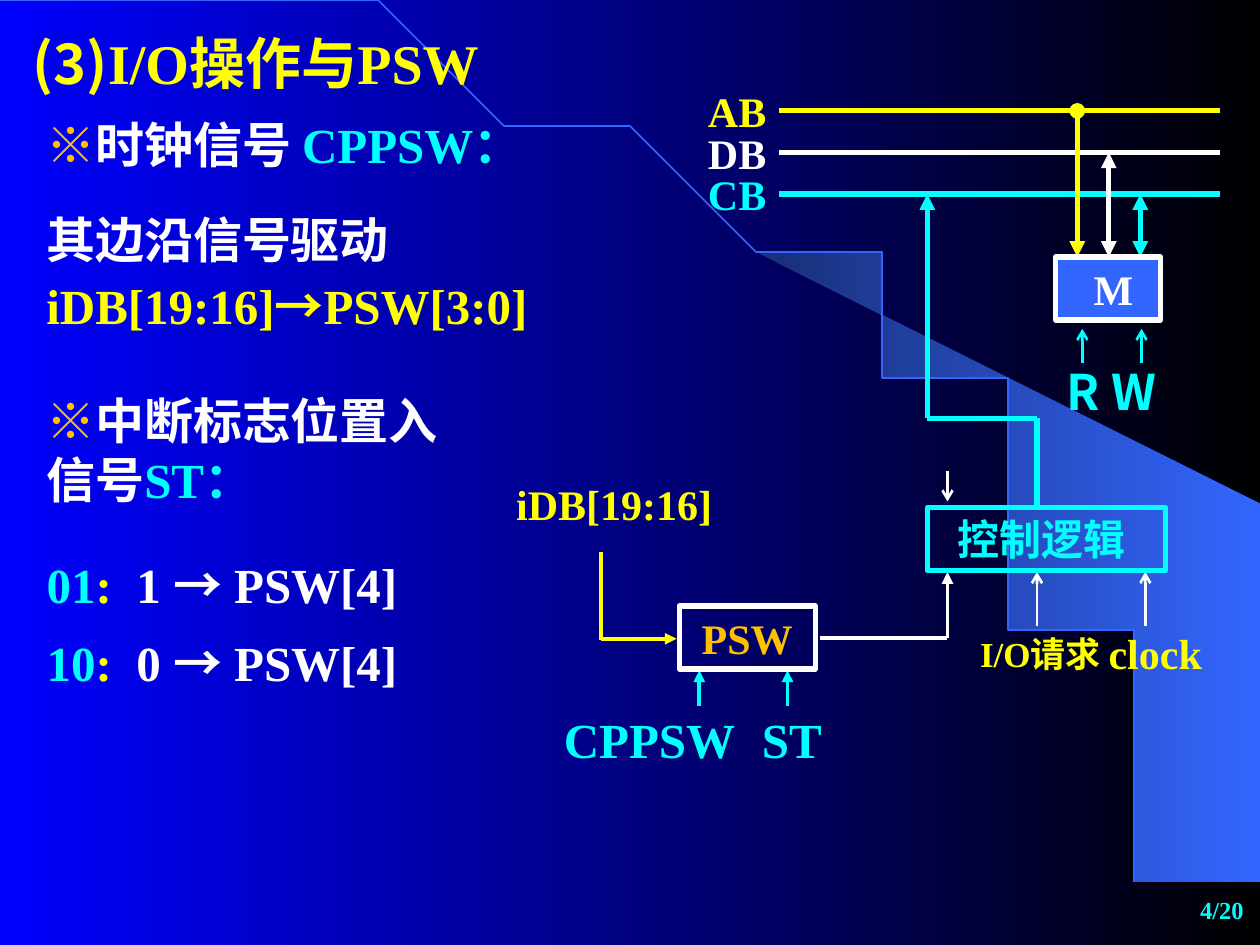
"""Build the slide on I/O operations and the PSW register."""
from dataclasses import dataclass
from math import cos, radians, sin

from lxml import etree
from pptx import Presentation
from pptx.dml.color import RGBColor
from pptx.enum.shapes import MSO_CONNECTOR, MSO_SHAPE
from pptx.enum.text import MSO_ANCHOR, MSO_AUTO_SIZE, PP_ALIGN
from pptx.oxml.ns import qn
from pptx.util import Inches, Pt

LEFT, CENTER, RIGHT = PP_ALIGN.LEFT, PP_ALIGN.CENTER, PP_ALIGN.RIGHT
TOP, MIDDLE = MSO_ANCHOR.TOP, MSO_ANCHOR.MIDDLE
NO_AUTOFIT = MSO_AUTO_SIZE.NONE
STRAIGHT = MSO_CONNECTOR.STRAIGHT
RECTANGLE = MSO_SHAPE.RECTANGLE
SERIF, SANS = "Times New Roman", "Noto Sans CJK SC"
COLORS = {
    "yellow": "FFFF00", "white": "FFFFFF", "cyan": "00FFFF", "orange": "FFC000",
    "blue": "0000FF", "black": "000000", "arc": "3366FF", "navy": "182F76",
}
ARC_WIDTH, ARC_HEIGHT = 9.2, 7.49


@dataclass
class Run:
    text: str
    color: str
    font: str = SERIF


@dataclass
class Label:
    runs: list[Run]
    box: tuple[float, float, float, float]
    size: float = 24
    align: PP_ALIGN = LEFT
    anchor: MSO_ANCHOR = TOP
    spacing: float | None = None


@dataclass
class Block:
    label: Label
    border: str
    fill: str | None = None


@dataclass
class Wire:
    start: tuple[float, float]
    end: tuple[float, float]
    color: str
    width: float = 3
    head: str | None = None
    tail: str | None = None


def rgb(name: str) -> RGBColor:
    return RGBColor.from_string(COLORS[name])


def write_paragraph(paragraph, runs: list[Run], *, size: float, align=LEFT, spacing=None) -> None:
    paragraph.alignment = align
    paragraph.space_before = Pt(0)
    if spacing:
        paragraph.line_spacing = Pt(spacing)
    for item in runs:
        run = paragraph.add_run()
        run.text = item.text
        run.font.name = item.font
        run.font.size = Pt(size)
        run.font.bold = True
        run.font.color.rgb = rgb(item.color)
        properties = run.font._element
        east_asian = etree.SubElement(properties, qn("a:ea"))
        east_asian.set("typeface", SANS)


def place(shape, box: tuple[float, float, float, float]) -> None:
    shape.left, shape.top, shape.width, shape.height = map(Inches, box)


def prepare_frame(shape, anchor=TOP):
    frame = shape.text_frame
    frame.word_wrap = True
    frame.auto_size = NO_AUTOFIT
    frame.vertical_anchor = anchor
    return frame


def write_label(shape, label: Label) -> None:
    frame = prepare_frame(shape, label.anchor)
    write_paragraph(frame.paragraphs[0], label.runs, size=label.size,
                    align=label.align, spacing=label.spacing)


def draw_block(slide, block: Block) -> None:
    shape = slide.shapes.add_shape(RECTANGLE, *map(Inches, block.label.box))
    shape.shadow.inherit = False
    shape.line.color.rgb = rgb(block.border)
    shape.line.width = Pt(3)
    if block.fill:
        shape.fill.solid()
        shape.fill.fore_color.rgb = rgb(block.fill)
    else:
        shape.fill.background()
    write_label(shape, block.label)


def draw_wire(slide, wire: Wire) -> None:
    connector = slide.shapes.add_connector(STRAIGHT, *map(Inches, wire.start + wire.end))
    connector.line.color.rgb = rgb(wire.color)
    connector.line.width = Pt(wire.width)
    line = connector.line._get_or_add_ln()
    for tag, kind in (("a:headEnd", wire.head), ("a:tailEnd", wire.tail)):
        if kind:
            etree.SubElement(line, qn(tag)).set("type", kind)
    etree.SubElement(connector._element.spPr, qn("a:effectLst"))


def set_gradient(fill, colors: tuple[str, str]) -> None:
    fill.gradient()
    fill.gradient_angle = 0
    for stop, color, position in zip(fill.gradient_stops, colors, (0, 1)):
        stop.color.rgb = rgb(color)
        stop.position = position


def arc_points(first: float, steps: int) -> list[tuple[float, float]]:
    angles = [radians(first + (90 - first) * step / steps) for step in range(steps + 1)]
    return [(ARC_WIDTH * sin(angle), ARC_HEIGHT * (1 - cos(angle))) for angle in angles]


def draw_outline(slide, points: list[tuple[float, float]], *, close: bool):
    builder = slide.shapes.build_freeform(*points[0], scale=Inches(1))
    builder.add_line_segments(points[1:], close=close)
    shape = builder.convert_to_shape()
    shape.shadow.inherit = False
    slide.shapes.element.insert(2, shape.element)
    return shape


def draw_backdrop(slide) -> None:
    set_gradient(slide.background.fill, ("blue", "black"))
    arc = draw_outline(slide, arc_points(0, 60), close=False)
    arc.fill.background()
    arc.line.color.rgb = rgb("arc")
    arc.line.width = Pt(1)
    wedge = draw_outline(slide, arc_points(39.8, 30) + [(9.99, 7.49), (9.99, 4.23)], close=True)
    set_gradient(wedge.fill, ("navy", "arc"))
    wedge.line.fill.background()


def fill_list(body) -> None:
    place(body, (0.27, 4.19, 3.15, 1.3))
    frame = prepare_frame(body)
    for index, (code, value) in enumerate((("01", "1 "), ("10", "0 "))):
        paragraph = frame.add_paragraph() if index else frame.paragraphs[0]
        runs = [Run(code, "cyan"), Run(":  ", "yellow"), Run(value, "white"),
                Run("→", "white", SANS), Run(" PSW[4]", "white")]
        write_paragraph(paragraph, runs, size=28, spacing=45)
        properties = paragraph._p.get_or_add_pPr()
        properties.set("marL", "0")
        properties.set("indent", "0")
        etree.SubElement(properties, qn("a:buNone"))


BUSES = [("AB", "yellow", 0.88), ("DB", "white", 1.21), ("CB", "cyan", 1.54)]
LABELS = [
    Label([Run("※", "orange", SANS), Run("时钟信号 ", "white"), Run("CPPSW：", "cyan")],
          (0.27, 0.86, 4.29, 0.57), 28),
    Label([Run("其边沿信号驱动 ", "white"), Run("iDB[19:16]", "yellow"),
           Run("→", "yellow", SANS), Run("PSW[3:0]", "yellow")],
          (0.27, 1.55, 4.8, 1.16), 28, spacing=38),
    Label([Run("※", "orange", SANS), Run("中断标志位置入信号", "white", SANS), Run("ST：", "cyan")],
          (0.27, 3.05, 3.63, 1.04), 28),
    Label([Run("I/O请求", "yellow")], (7.68, 4.97, 1.18, 0.77), 20),
    Label([Run("clock", "yellow")], (8.7, 4.93, 1.02, 0.5)),
    Label([Run("R W", "cyan", SANS)], (8.31, 2.82, 1.02, 0.57), 28, CENTER),
    Label([Run("ST", "cyan")], (5.85, 5.58, 0.87, 0.57), 28, CENTER),
    Label([Run("CPPSW", "cyan")], (4.29, 5.58, 1.73, 0.57), 28, CENTER),
    Label([Run("iDB[19:16]", "yellow")], (3.81, 3.75, 2.13, 0.5), 24, CENTER),
    Label([Run("4/20", "cyan")], (7.89, 6.97, 2.08, 0.5), 14, RIGHT, MIDDLE),
] + [Label([Run(name, color)], (5.52, y - 0.25, 0.92, 0.5)) for name, color, y in BUSES]
BLOCKS = [
    Block(Label([Run(" M", "white")], (8.38, 2.04, 0.83, 0.5), align=CENTER), "white", "arc"),
    Block(Label([Run("控制逻辑 ", "cyan", SANS)], (7.36, 4.03, 1.89, 0.5), align=CENTER), "cyan"),
    Block(Label([Run("PSW", "orange")], (5.39, 4.81, 1.08, 0.5), align=CENTER), "white"),
]
WIRES = [Wire((6.18, y), (9.68, y), color) for _, color, y in BUSES] + [
    Wire((x, y), (x, 2.04), color, head=head, tail="triangle")
    for x, head, (_, color, y) in zip((8.55, 8.8, 9.05), ("oval", "triangle", "triangle"), BUSES)
] + [
    Wire((x, 4.54), (x, 4.97), "white", 1.5, head="arrow") for x in (8.23, 9.09)
] + [
    Wire((x, 2.88), (x, 2.61), "cyan", 1.5, tail="arrow") for x in (8.59, 9.06)
] + [
    Wire((x, 5.6), (x, 5.32), "cyan", 2.25, tail="triangle") for x in (5.55, 6.25)
] + [
    Wire((7.36, 1.54), (7.36, 3.32), "cyan", head="triangle"),
    Wire((7.36, 3.32), (8.23, 3.32), "cyan"),
    Wire((8.23, 3.32), (8.23, 4.03), "cyan"),
    Wire((7.52, 3.74), (7.52, 3.98), "white", 1.5, tail="arrow"),
    Wire((7.52, 4.54), (7.52, 5.06), "white", 2.25, head="triangle"),
    Wire((7.52, 5.06), (6.51, 5.06), "white", 2.25),
    Wire((4.77, 4.38), (4.77, 5.08), "yellow", 2.25),
    Wire((4.77, 5.07), (5.37, 5.07), "yellow", 2.25, tail="triangle"),
]


def main() -> None:
    presentation = Presentation()
    presentation.slide_width, presentation.slide_height = Inches(10), Inches(7.5)
    slide = presentation.slides.add_slide(presentation.slide_layouts[1])
    draw_backdrop(slide)
    title = Label([Run("(3)", "yellow", SANS), Run("I/O操作与PSW", "yellow")],
                  (0.16, 0.18, 4.21, 0.64), 32)
    place(slide.shapes.title, title.box)
    write_label(slide.shapes.title, title)
    fill_list(slide.placeholders[1])
    for wire in WIRES:
        draw_wire(slide, wire)
    for block in BLOCKS:
        draw_block(slide, block)
    for label in LABELS:
        write_label(slide.shapes.add_textbox(*map(Inches, label.box)), label)
    presentation.save("out.pptx")


if __name__ == "__main__":
    main()
